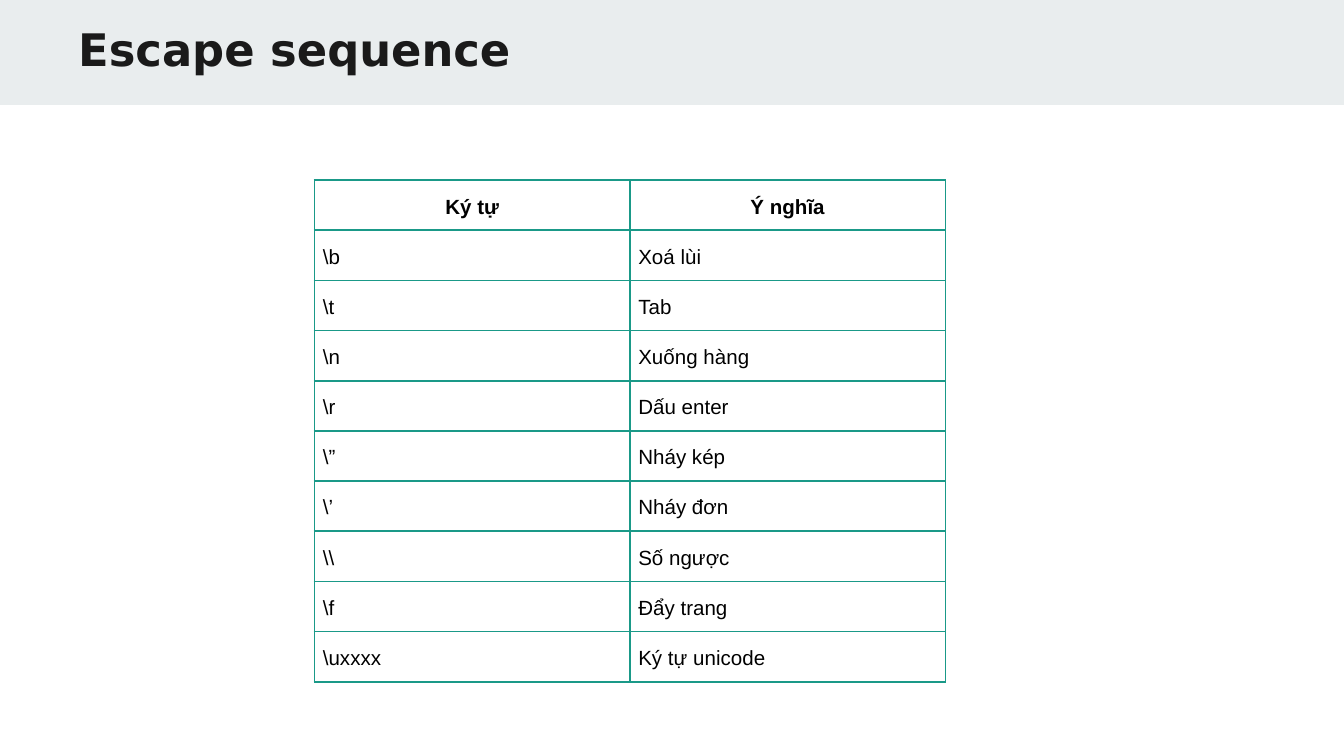
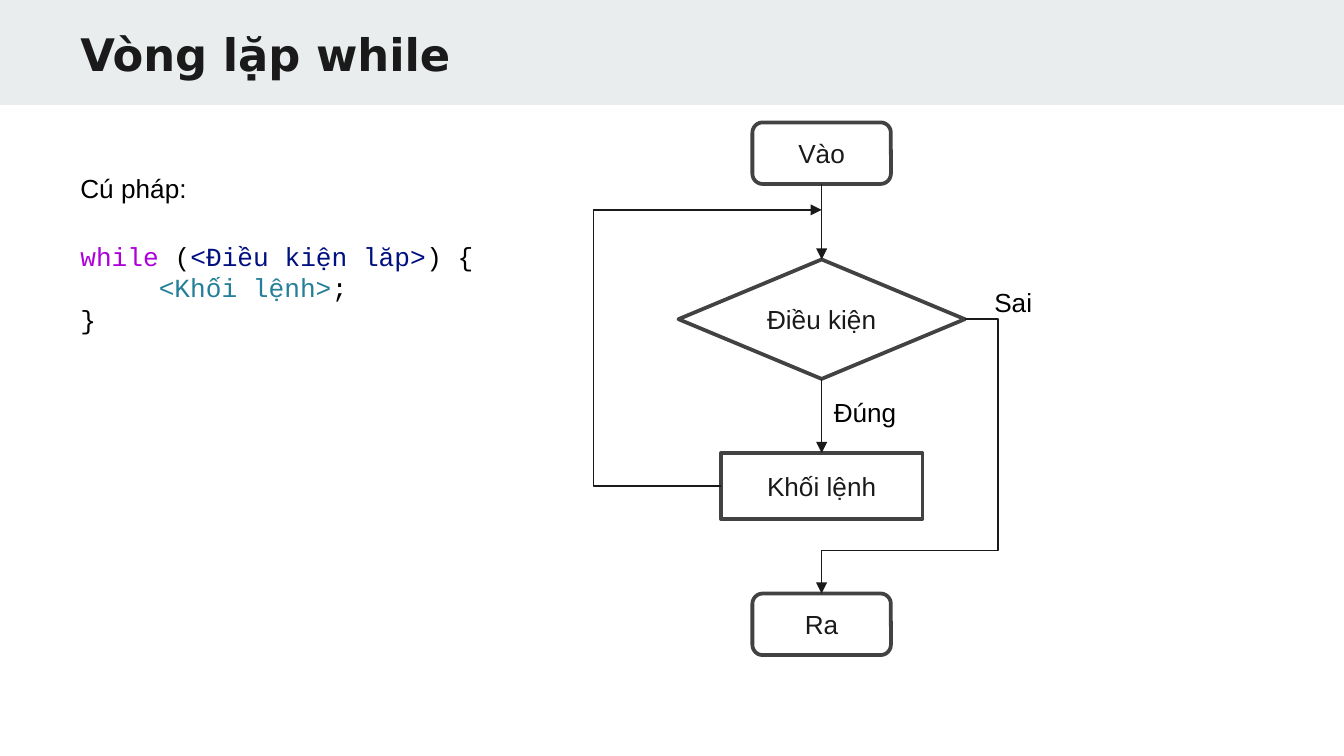
import pptx
import pptx.dml.color
import pptx.enum.shapes
import pptx.enum.text
import pptx.oxml
import pptx.oxml.ns
import pptx.util
import lxml.etree

Pt = pptx.util.Pt
SHAPES = pptx.enum.shapes.MSO_SHAPE
LINES = pptx.enum.shapes.MSO_CONNECTOR
ALIGN = pptx.enum.text.PP_ALIGN
ANCHOR = pptx.enum.text.MSO_ANCHOR
AUTO_SIZE = pptx.enum.text.MSO_AUTO_SIZE

BODY_FONT, CODE_FONT, TITLE_FONT = "Arial", "Courier New", "DejaVu Sans"
BLACK, INK, OUTLINE = "000000", "1A1A1A", "424242"
BAND, TEAL = "E9EDEE", "1A9988"
KEYWORD, CONDITION, STATEMENT = "AF00DB", "001080", "267F99"

WIDTH, HEIGHT = 720, 405
FLOW_CENTER = 440.2
TOP, LEFT, BOTTOM, RIGHT = range(4)

ESCAPES = [
    ("Ký tự", "Ý nghĩa"),
    ("\\b", "Xoá lùi"),
    ("\\t", "Tab"),
    ("\\n", "Xuống hàng"),
    ("\\r", "Dấu enter"),
    ("\\”", "Nháy kép"),
    ("\\’", "Nháy đơn"),
    ("\\\\", "Số ngược"),
    ("\\f", "Đẩy trang"),
    ("\\uxxxx", "Ký tự unicode"),
]

# Each line of code: left indent, then its coloured spans.
WHILE_CODE = [
    (0, [("while ", KEYWORD), ("(", BLACK), ("<Điều kiện lăp>", CONDITION), (") {", BLACK)]),
    (42, [("<Khối lệnh>", STATEMENT), (";", BLACK)]),
    (0, [("}", BLACK)]),
]


def color(hex_text):
    return pptx.dml.color.RGBColor.from_string(hex_text)


def style(span, size, ink, font=BODY_FONT, bold=False):
    span.font.size = Pt(size)
    span.font.name = font
    span.font.bold = bold
    span.font.color.rgb = color(ink)


def add_text(page, left, top, width, height, text="", size=14, ink=BLACK,
             font=BODY_FONT, bold=False):
    box = page.shapes.add_textbox(Pt(left), Pt(top), Pt(width), Pt(height))
    frame = box.text_frame
    frame.word_wrap = True
    frame.text = text
    for span in frame.paragraphs[0].runs:
        style(span, size, ink, font, bold)
    return box


def add_page(deck, title, left, top, width):
    """Add a blank page with the title band and its heading."""
    page = deck.slides.add_slide(deck.slide_layouts[6])
    band = page.shapes.add_shape(SHAPES.RECTANGLE, 0, 0, Pt(WIDTH), Pt(56.2))
    band.shadow.inherit = False
    band.fill.solid()
    band.fill.fore_color.rgb = color(BAND)
    band.line.fill.background()
    frame = add_text(page, left, top, width, 52.6, title, 24, INK, TITLE_FONT, True).text_frame
    frame.margin_top = frame.margin_bottom = Pt(7.2)
    return page


def add_borders(cell, ink, width):
    properties = cell._tc.get_or_add_tcPr()
    for side in ("lnL", "lnR", "lnT", "lnB"):
        properties.append(pptx.oxml.parse_xml(
            f'<a:{side} {pptx.oxml.ns.nsdecls("a")} w="{Pt(width)}">'
            f'<a:solidFill><a:srgbClr val="{ink}"/></a:solidFill></a:{side}>'))


def add_table(page, rows, left, top, column_width, row_height):
    columns = len(rows[0])
    table = page.shapes.add_table(
        len(rows), columns, Pt(left), Pt(top),
        Pt(column_width * columns), Pt(row_height * len(rows))).table
    table.horz_banding = False
    for column in table.columns:
        column.width = Pt(column_width)
    for row_index, texts in enumerate(rows):
        is_header = row_index == 0
        table.rows[row_index].height = Pt(row_height)
        for column_index, text in enumerate(texts):
            cell = table.cell(row_index, column_index)
            add_borders(cell, TEAL, 1)
            cell.fill.background()
            cell.vertical_anchor = ANCHOR.MIDDLE
            cell.margin_left = cell.margin_right = Pt(4.5)
            cell.margin_top = cell.margin_bottom = 0
            para = cell.text_frame.paragraphs[0]
            para.text = text
            para.line_spacing = 1.15
            para.alignment = ALIGN.CENTER if is_header else ALIGN.LEFT
            style(para.runs[0], 11, BLACK, bold=is_header)


def add_code(page, lines, left, top, width, height):
    frame = add_text(page, left, top, width, height).text_frame
    frame.auto_size = AUTO_SIZE.SHAPE_TO_FIT_TEXT
    for index, (indent, spans) in enumerate(lines):
        para = frame.add_paragraph() if index else frame.paragraphs[0]
        para._p.get_or_add_pPr().set("marL", str(Pt(indent)))
        for text, ink in spans:
            span = para.add_run()
            span.text = text
            style(span, 14, ink, CODE_FONT)


def add_step(page, kind, text, top, width, height):
    """Add a flowchart step centred on the flow axis."""
    step = page.shapes.add_shape(
        kind, Pt(FLOW_CENTER - width / 2), Pt(top), Pt(width), Pt(height))
    step.shadow.inherit = False
    step.fill.background()
    step.line.color.rgb = color(OUTLINE)
    step.line.width = Pt(2)
    frame = step.text_frame
    frame.word_wrap = True
    frame.vertical_anchor = ANCHOR.MIDDLE
    para = frame.paragraphs[0]
    para.text = text
    para.alignment = ALIGN.CENTER
    style(para.runs[0], 14, INK)
    return step


def site(step, side):
    """Return the middle of one side of a step."""
    across = {LEFT: 0, RIGHT: step.width}.get(side, step.width // 2)
    down = {TOP: 0, BOTTOM: step.height}.get(side, step.height // 2)
    return step.left + across, step.top + down


def add_arrow(page, start, end, kind=LINES.STRAIGHT):
    arrow = page.shapes.add_connector(kind, *start, *end)
    arrow.line.color.rgb = color(INK)
    arrow.line.width = Pt(0.75)
    line = arrow.line._get_or_add_ln()
    lxml.etree.SubElement(line, pptx.oxml.ns.qn("a:tailEnd"), type="triangle")
    lxml.etree.SubElement(arrow._element.spPr, pptx.oxml.ns.qn("a:effectLst"))
    return arrow


def add_bent_arrow(page, start, end, turn_x, turn_y=None):
    """Add an arrow that turns at turn_x and, if given, again at turn_y."""
    arrow = add_arrow(page, start, end, LINES.ELBOW)
    turns = [(Pt(turn_x) - start[0]) / (end[0] - start[0])]
    if turn_y is not None:
        turns.append((Pt(turn_y) - start[1]) / (end[1] - start[1]))
    geometry = arrow._element.spPr.find(pptx.oxml.ns.qn("a:prstGeom"))
    geometry.set("prst", f"bentConnector{len(turns) + 2}")
    guides = geometry.find(pptx.oxml.ns.qn("a:avLst"))
    for number, turn in enumerate(turns, 1):
        lxml.etree.SubElement(guides, pptx.oxml.ns.qn("a:gd"), name=f"adj{number}",
                              fmla=f"val {round(turn * 100000)}")
    return arrow


def link(arrow, source, source_side, target=None, target_side=TOP):
    arrow.begin_connect(source, source_side)
    if target is not None:
        arrow.end_connect(target, target_side)


def add_flowchart(page):
    entry = add_step(page, SHAPES.ROUNDED_RECTANGLE, "Vào", 65.6, 74.2, 33)
    leave = add_step(page, SHAPES.ROUNDED_RECTANGLE, "Ra", 318, 74.2, 33)
    condition = add_step(page, SHAPES.DIAMOND, "Điều kiện", 139, 153.4, 64)
    block = add_step(page, SHAPES.RECTANGLE, "Khối lệnh", 242.7, 108, 35.3)

    for source, target in ((entry, condition), (condition, block)):
        arrow = add_arrow(page, site(source, BOTTOM), site(target, TOP))
        link(arrow, source, BOTTOM, target)
    arrow = add_bent_arrow(page, site(condition, RIGHT), site(leave, TOP), 534.7, 295)
    link(arrow, condition, RIGHT, leave)
    arrow = add_bent_arrow(page, site(block, LEFT), (Pt(FLOW_CENTER), Pt(112.5)), 318)
    link(arrow, block, LEFT)

    for text, left, top in (("Đúng", 439.6, 209), ("Sai", 525.6, 150)):
        add_text(page, left, top, 54.7, 24.5, text)


def main():
    deck = pptx.Presentation()
    deck.slide_width, deck.slide_height = Pt(WIDTH), Pt(HEIGHT)

    page = add_page(deck, "Escape sequence", 34.8, 4.5, 605.5)
    add_table(page, ESCAPES, 168.5, 96.5, 169, 26.9)

    page = add_page(deck, "Vòng lặp while", 36, 7.2, 621.4)
    add_code(page, WHILE_CODE, 36, 125.3, 360, 58.3)
    add_text(page, 36, 88.6, 148.3, 24.5, "Cú pháp:")
    add_flowchart(page)

    deck.save("out.pptx")


if __name__ == "__main__":
    main()
